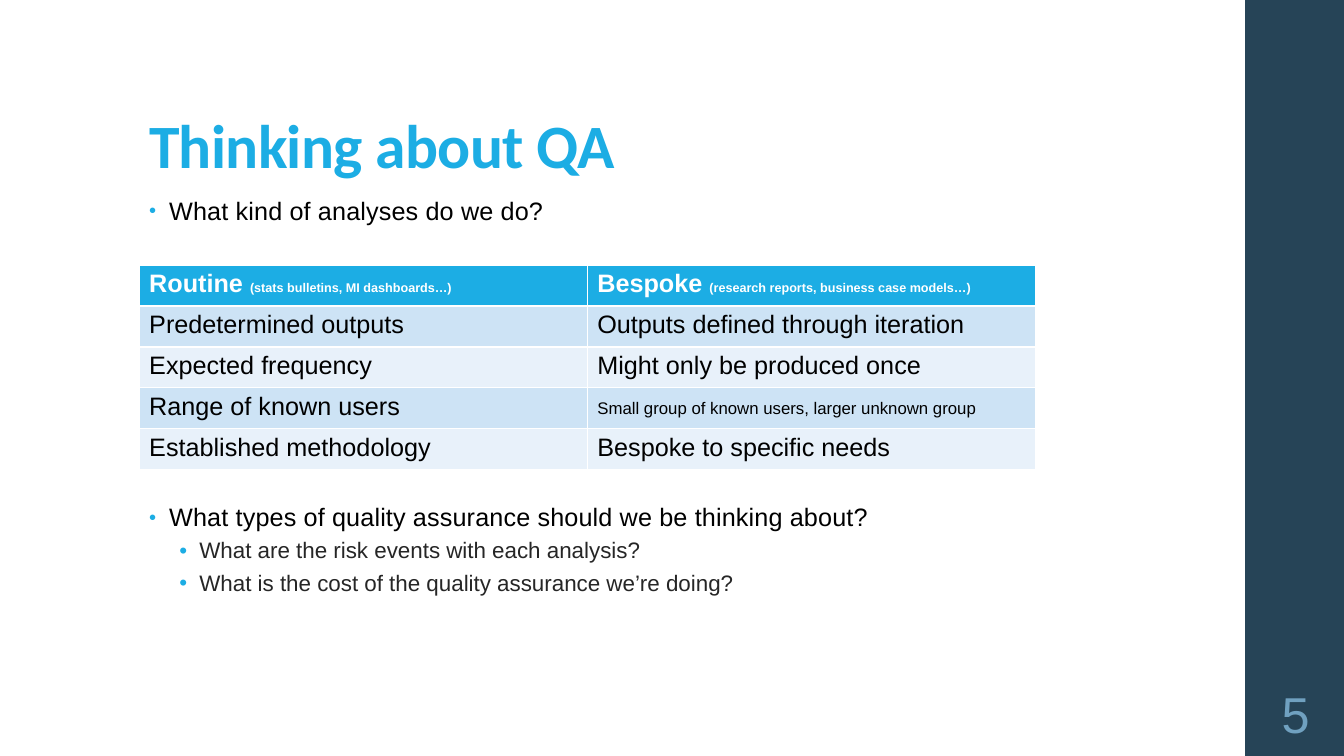
from dataclasses import dataclass

from lxml.etree import SubElement
from pptx import Presentation
from pptx.dml.color import RGBColor
from pptx.enum.shapes import MSO_SHAPE
from pptx.enum.text import MSO_ANCHOR, PP_ALIGN
from pptx.oxml.ns import qn
from pptx.util import Inches, Pt


@dataclass(frozen=True)
class Theme:
    accent: str = "1CADE4"
    sidebar: str = "264457"
    number: str = "70A1C0"
    white: str = "FFFFFF"
    black: str = "000000"
    sub_text: str = "262626"
    bands: tuple = ("CDE3F5", "E8F1FA")
    heading_font: str = "Calibri"
    body_font: str = "Arial"
    title_size: int = 44
    number_size: int = 36
    body_size: int = 18
    sub_size: int = 16
    small_size: int = 12
    note_size: int = 9


theme = Theme()


def add_text(paragraph, text, size=theme.body_size, color=theme.black,
             font=theme.body_font, bold=False, tracking=0):
    run = paragraph.add_run()
    run.text = text
    run.font.size = Pt(size)
    run.font.name = font
    run.font.bold = bold
    run.font.color.rgb = RGBColor.from_string(color)
    if tracking:
        run.font._element.set("spc", str(round(tracking * 100)))


def add_frame(left, top, width, height, anchor=MSO_ANCHOR.TOP):
    frame = slide.shapes.add_textbox(
        Inches(left), Inches(top), Inches(width), Inches(height)).text_frame
    frame.word_wrap = True
    frame.vertical_anchor = anchor
    return frame


prs = Presentation()
prs.slide_width, prs.slide_height = Inches(13.33), Inches(7.5)
slide = prs.slides.add_slide(prs.slide_layouts[6])

# Sidebar with page number
sidebar = slide.shapes.add_shape(
    MSO_SHAPE.RECTANGLE, Inches(12.35), Inches(0), Inches(1), Inches(7.5))
sidebar.shadow.inherit = False
sidebar.fill.solid()
sidebar.fill.fore_color.rgb = RGBColor.from_string(theme.sidebar)
sidebar.line.fill.background()

page_number = add_frame(12.35, 6.75, 1, 0.65, MSO_ANCHOR.MIDDLE).paragraphs[0]
page_number.alignment = PP_ALIGN.CENTER
add_text(page_number, "5", size=theme.number_size, color=theme.number)

# Title
title = add_frame(1.38, 0.4, 10.6, 1.45, MSO_ANCHOR.BOTTOM).paragraphs[0]
title.line_spacing = 0.9
add_text(title, "Thinking about QA", size=theme.title_size, color=theme.accent,
         font=theme.heading_font, bold=True, tracking=-0.5)

# Questions above and below the table: (top, height, [(level, text), ...])
questions = [
    (1.91, 0.4, [(0, "What kind of analyses do we do?")]),
    (4.95, 1.2, [(0, "What types of quality assurance should we be thinking about?"),
                 (1, "What are the risk events with each analysis?"),
                 (1, "What is the cost of the quality assurance we’re doing?")]),
]
for top, height, items in questions:
    frame = add_frame(1.38, top, 9.4, height)
    for index, (level, text) in enumerate(items):
        question = frame.add_paragraph() if index else frame.paragraphs[0]
        question.level = level
        question.line_spacing = 0.9 if level else 0.95
        question.space_before = Pt(3 if level else 0)
        question.space_after = Pt(3 if level else 2)
        # Hanging bullet in the accent colour
        props = question._p.get_or_add_pPr()
        props.set("marL", str(Inches(0.5 if level else 0.2)))
        props.set("indent", str(Inches(-0.2)))
        bullet_color = SubElement(props, qn("a:buClr"))
        SubElement(bullet_color, qn("a:srgbClr"), val=theme.accent)
        SubElement(props, qn("a:buSzPct"), val="100000" if level else "80000")
        SubElement(props, qn("a:buFont"), typeface=theme.body_font)
        SubElement(props, qn("a:buChar"), char="•")
        if level:
            add_text(question, text, size=theme.sub_size, color=theme.sub_text)
        else:
            add_text(question, text, tracking=0.1)

# Comparison table
headings = [("Routine ", "(stats bulletins, MI dashboards…)"),
            ("Bespoke ", "(research reports, business case models…)")]
small_print = "Small group of known users, larger unknown group"
comparisons = [
    ("Predetermined outputs", "Outputs defined through iteration"),
    ("Expected frequency", "Might only be produced once"),
    ("Range of known users", small_print),
    ("Established methodology", "Bespoke to specific needs"),
]
table = slide.shapes.add_table(
    len(comparisons) + 1, 2, Inches(1.38), Inches(2.63), Inches(8.89), Inches(2.03)).table

for column, (heading, examples) in enumerate(headings):
    cell = table.cell(0, column)
    cell.fill.solid()
    cell.fill.fore_color.rgb = RGBColor.from_string(theme.accent)
    for text, size in ((heading, theme.body_size), (examples, theme.note_size)):
        add_text(cell.text_frame.paragraphs[0], text, size=size,
                 color=theme.white, bold=True)

for row, comparison in enumerate(comparisons, start=1):
    for column, text in enumerate(comparison):
        cell = table.cell(row, column)
        cell.fill.solid()
        cell.fill.fore_color.rgb = RGBColor.from_string(theme.bands[(row - 1) % 2])
        size = theme.body_size
        if text == small_print:
            size = theme.small_size
            cell.vertical_anchor = MSO_ANCHOR.MIDDLE
        add_text(cell.text_frame.paragraphs[0], text, size=size)

prs.save("out.pptx")
